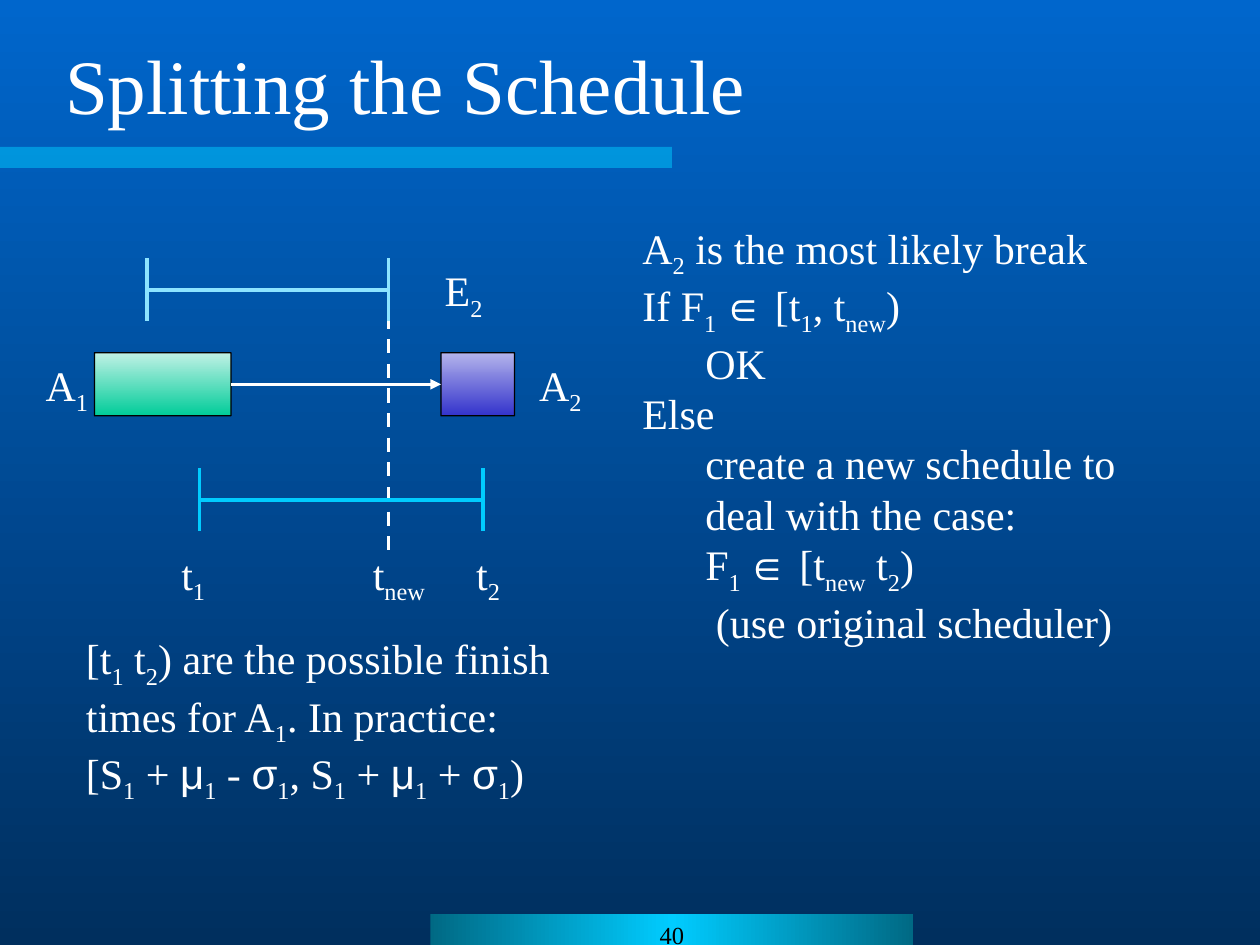
from copy import deepcopy
from itertools import groupby

from pptx import Presentation
from pptx.dml.color import RGBColor
from pptx.enum.dml import MSO_LINE
from pptx.enum.shapes import MSO_CONNECTOR, MSO_SHAPE
from pptx.enum.text import MSO_ANCHOR as ANCHOR, PP_ALIGN as ALIGN
from pptx.oxml.ns import qn
from pptx.util import Pt
from lxml.etree import SubElement

SERIF, SANS = "Times New Roman", "Arial"
SYMBOLS = "μσ∈"
WHITE, BLACK, CYAN, PALE_CYAN = "FFFFFF", "000000", "00CCFF", "8DE4FF"


def rgb(value):
    return RGBColor.from_string(value)


def box_pt(box):
    return [Pt(v) for v in box]


def write(tf, text, size=24, color=WHITE, align=ALIGN.LEFT, anchor=ANCHOR.TOP,
          indents=()):
    tf.word_wrap = True
    tf.vertical_anchor = anchor
    for i, line in enumerate(text.split("\n")):
        p = tf.paragraphs[0] if i == 0 else tf.add_paragraph()
        p.alignment = align
        if i < len(indents) and indents[i]:
            p._p.get_or_add_pPr().set("marL", str(Pt(indents[i])))
        for j, part in enumerate(line.split("~")):
            for is_symbol, chars in groupby(part, lambda c: c in SYMBOLS):
                r = p.add_run()
                r.text = "".join(chars)
                r.font.size = Pt(size)
                r.font.name = SANS if is_symbol else SERIF
                r.font.color.rgb = rgb(color)
                if j % 2:
                    r.font._element.set("baseline", "-25000")


def add_text(shapes, box, text, **fmt):
    sp = shapes.add_textbox(*box_pt(box))
    write(sp.text_frame, text, **fmt)
    return sp


def fill_gradient(fill, root, colors, angle):
    fill.gradient()
    fill.gradient_angle = angle
    stops = next(root.iter(qn("a:gsLst")))
    for _ in colors[2:]:
        stops.append(deepcopy(stops[-1]))
    for i, (stop, color) in enumerate(zip(fill.gradient_stops, colors)):
        stop.position = i / (len(colors) - 1)
        for old in list(stops[i]):
            stops[i].remove(old)
        SubElement(stops[i], qn("a:srgbClr"), val=color)


def add_box(shapes, box, kind=MSO_SHAPE.RECTANGLE, line=None):
    sp = shapes.add_shape(kind, *box_pt(box))
    sp.shadow.inherit = False
    if line:
        sp.line.color.rgb = rgb(line)
        sp.line.width = Pt(0.75)
    else:
        sp.line.fill.background()
    return sp


def add_line(shapes, x1, y1, x2, y2, color=WHITE):
    ln = shapes.add_connector(MSO_CONNECTOR.STRAIGHT, *box_pt((x1, y1, x2, y2)))
    ln.line.color.rgb = rgb(color)
    ln.line.width = Pt(2)
    SubElement(ln._element.spPr, qn("a:effectLst"))
    return ln


def add_interval(shapes, x1, x2, y, color, tick=18):
    group = shapes.add_group_shape().shapes
    add_line(group, x1, y, x2, y, color)
    for x in (x1, x2):
        add_line(group, x, y - tick, x, y + tick, color)


def add_activity(shapes, box, colors):
    sp = add_box(shapes, box, MSO_SHAPE.ROUNDED_RECTANGLE, BLACK)
    sp.adjustments[0] = 0.003
    fill_gradient(sp.fill, sp._element, colors, 270)
    return sp


def add_title(slide, box, text):
    sp = slide.shapes.title
    sp.left, sp.top, sp.width, sp.height = box_pt(box)
    write(sp.text_frame, text, size=44, anchor=ANCHOR.MIDDLE)


def add_decor(shapes, width, height):
    rule = add_box(shapes, (0, 84, 384, 12))
    rule.fill.solid()
    rule.fill.fore_color.rgb = rgb(CYAN)
    color = next(rule._element.spPr.iter(qn("a:srgbClr")))
    SubElement(color, qn("a:alpha"), val="50000")
    footer = add_box(shapes, (246, height - 18, width - 444, 18))
    fill_gradient(footer.fill, footer._element, ("006984", CYAN, "006984"), 180)
    write(footer.text_frame, "40", size=14, color=BLACK, align=ALIGN.CENTER)


def add_diagram(shapes, box):
    left, top, width, height = box
    start, t1, t_new, t2 = (left + dx for dx in (65, 95, 203, 257))
    window_y, activity_y, finish_y = (top + dy for dy in (18, 54, 138))
    label_y = top + height - 40

    cut = add_line(shapes, t_new, window_y, t_new, top + 168)
    cut.line.dash_style = MSO_LINE.DASH
    first = add_activity(shapes, (left + 35, activity_y, 78, 36), ("C0F1E5", "00CC99"))
    second = add_activity(shapes, (left + 233, activity_y, 42, 36), ("B3B3EB", "3333CC"))
    add_interval(shapes, start, t_new, window_y, PALE_CYAN)
    arrow = add_line(shapes, left + 113, activity_y + 18, left + 233, activity_y + 18)
    arrow.begin_connect(first, 3)
    arrow.end_connect(second, 1)
    SubElement(arrow.line._get_or_add_ln(), qn("a:tailEnd"), type="triangle")
    add_interval(shapes, t1, t2, finish_y, CYAN)

    labels = (
        ("t~1~", t1 - 17.5, label_y, 32),
        ("t~new~", t_new - 16, label_y, 52),
        ("t~2~", t2 - 11, label_y, 32),
        ("E~2~", left + 228, top, 40),
        ("A~1~", left, activity_y, 42),
        ("A~2~", left + 282, activity_y, 42),
    )
    for text, x, y, w in labels:
        add_text(shapes, (x, y, w, 40), text)


def add_finish_note(shapes, box):
    add_text(shapes, box,
             "[t~1~ t~2~) are the possible finish times for A~1~. In practice:\n"
             "[S~1~ + μ~1~ - σ~1~, S~1~ + μ~1~ + σ~1~)")


def add_algorithm(shapes, box):
    steps = (
        (0, "A~2~ is the most likely break"),
        (0, "If F~1 ~∈ [t~1~, t~new~)"),
        (36, "OK"),
        (0, "Else"),
        (36, "create a new schedule to"),
        (36, "deal with the case:"),
        (36, "F~1 ~∈ [t~new~ t~2~)"),
        (42, "(use original scheduler)"),
    )
    add_text(shapes, box, "\n".join(text for _, text in steps),
             indents=[indent for indent, _ in steps])


def main():
    prs = Presentation()
    prs.slide_width, prs.slide_height = Pt(720), Pt(540)
    slide = prs.slides.add_slide(prs.slide_layouts[5])
    fill_gradient(slide.background.fill, slide._element, ("0066CC", "002F5E"), 270)
    add_decor(slide.shapes, 720, 540)
    add_title(slide, (30, 18, 666, 60), "Splitting the Schedule")
    add_diagram(slide.shapes, (19, 147.6, 321, 202))
    add_finish_note(slide.shapes, (42, 358, 294, 135))
    add_algorithm(slide.shapes, (360, 123.6, 330, 324))
    prs.save("out.pptx")


if __name__ == "__main__":
    main()
